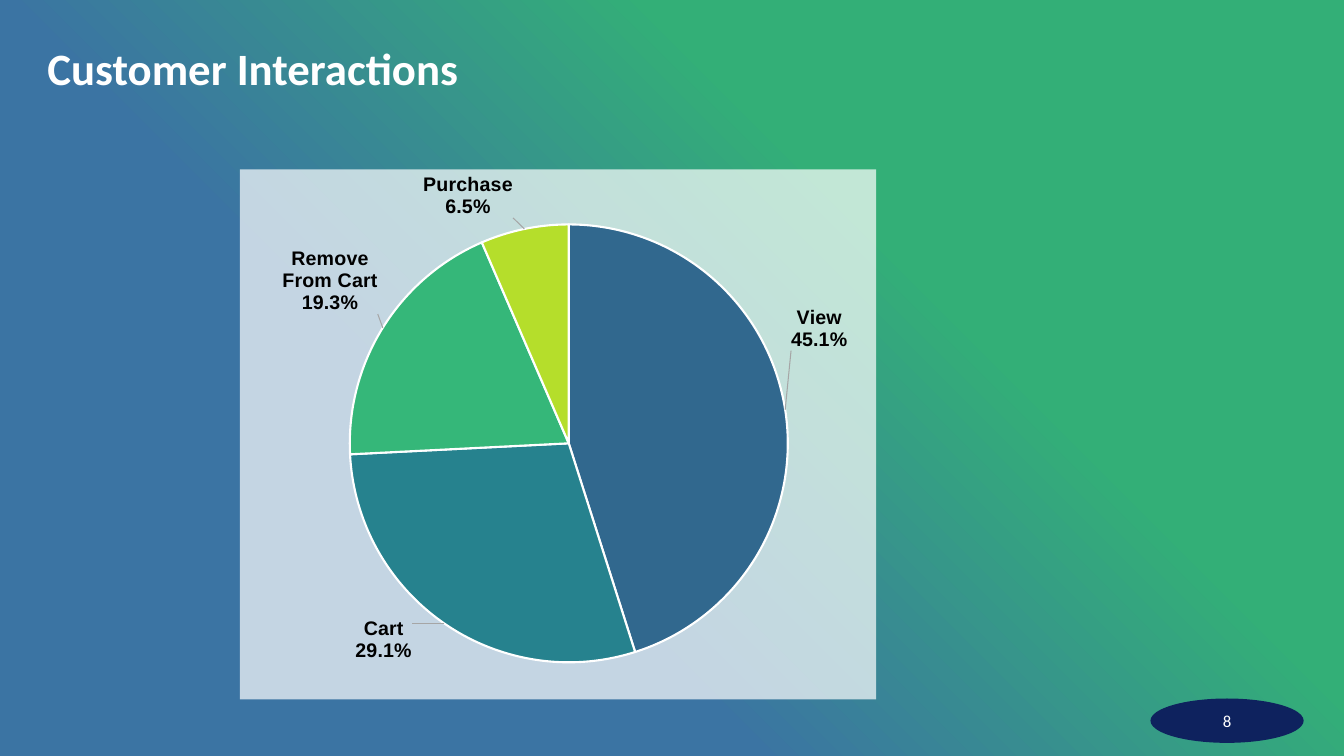
from dataclasses import dataclass

from pptx import Presentation, util as u
from pptx.chart.data import CategoryChartData
from pptx.dml.color import RGBColor
from pptx.enum import chart as ch, shapes, text
from pptx.oxml import parse_xml
from pptx.oxml.ns import nsdecls, qn

WIDTH, HEIGHT = 13.33, 7.5


@dataclass(frozen=True)
class Theme:
    green: str = "33AF77"
    blue: str = "3B74A3"
    navy: str = "0E225E"
    white: str = "FFFFFF"
    black: str = "000000"
    leader: str = "A6A6A6"
    body_font: str = "Calibri"
    chart_font: str = "Arial"
    title_size: int = 32
    label_size: int = 14
    number_size: int = 12


@dataclass(frozen=True)
class Box:
    """A rectangle in shares of the slide's width and height."""
    left: float
    top: float
    width: float
    height: float

    def emu(self) -> tuple:
        return (u.Inches(self.left * WIDTH), u.Inches(self.top * HEIGHT),
                u.Inches(self.width * WIDTH), u.Inches(self.height * HEIGHT))


@dataclass(frozen=True)
class Slice:
    """A pie slice; dx and dy move its label, in shares of the chart."""
    name: str
    percent: float
    color: str
    dx: float
    dy: float


THEME = Theme()
TITLE_BOX = Box(0.0353, 0.0627, 0.9295, 0.0627)
CHART_BOX = Box(0.1785, 0.224, 0.4734, 0.7013)
NUMBER_BOX = Box(0.856, 0.924, 0.114, 0.0587)
PLOT_BOX = Box(0.16, 0.104, 0.714, 0.826)
SLICES = [
    Slice("View", 45.1, "31688E", 0, -0.11),
    Slice("Cart", 29.1, "26828E", -0.045, -0.02),
    Slice("Remove From Cart", 19.3, "35B779", 0, -0.02),
    Slice("Purchase", 6.5, "B5DE2B", -0.016, -0.01),
]


def rgb(color: str) -> RGBColor:
    return RGBColor.from_string(color)


def set_font(font, name: str, size: int, color: str, bold: bool) -> None:
    font.name, font.size, font.bold = name, u.Pt(size), bold
    font.color.rgb = rgb(color)


def paint_background(s) -> None:
    """Fade from green at the top right to blue at the bottom left."""
    s.background.fill.solid()
    stops = "".join(
        f'<a:gs pos="{share * 1000}"><a:srgbClr val="{color}"/></a:gs>'
        for share, color in ((0, THEME.green), (33, THEME.green),
                             (64, THEME.blue), (100, THEME.blue)))
    gradient = parse_xml(
        f'<a:gradFill {nsdecls("a")} rotWithShape="1"><a:gsLst>{stops}</a:gsLst>'
        '<a:path path="circle"><a:fillToRect l="100000" b="100000"/></a:path>'
        '<a:tileRect t="-100000" r="-100000"/></a:gradFill>')
    bg = s.element.find(".//" + qn("p:bgPr"))
    bg.replace(bg.find(qn("a:solidFill")), gradient)


def add_title(s, title: str) -> None:
    tf = s.shapes.add_textbox(*TITLE_BOX.emu()).text_frame
    tf.word_wrap = True
    tf.vertical_anchor = text.MSO_ANCHOR.MIDDLE
    tf.margin_left = tf.margin_right = tf.margin_top = tf.margin_bottom = 0
    p = tf.paragraphs[0]
    p.text, p.line_spacing = title, 0.9
    set_font(p.font, THEME.body_font, THEME.title_size, THEME.white, True)


def add_page_number(s, number: str) -> None:
    sp = s.shapes.add_shape(shapes.MSO_SHAPE.OVAL, *NUMBER_BOX.emu())
    sp.shadow.inherit = False
    sp.fill.solid()
    sp.fill.fore_color.rgb = rgb(THEME.navy)
    sp.line.fill.background()
    sp.text_frame.vertical_anchor = text.MSO_ANCHOR.MIDDLE
    p = sp.text_frame.paragraphs[0]
    p.text, p.alignment = number, text.PP_ALIGN.CENTER
    set_font(p.font, THEME.body_font, THEME.number_size, THEME.white, False)


def manual_layout(**values: float) -> str:
    items = "".join(f'<c:{key} val="{value}"/>' for key, value in values.items())
    return f"<c:layout><c:manualLayout>{items}</c:manualLayout></c:layout>"


def labels_xml():
    """Category and percentage outside each slice, with leader lines."""
    shown = ('<c:dLblPos val="outEnd"/><c:showLegendKey val="0"/>'
             '<c:showVal val="0"/><c:showCatName val="1"/>'
             '<c:showSerName val="0"/><c:showPercent val="1"/>'
             '<c:showBubbleSize val="0"/><c:separator>\n</c:separator>')
    style = (
        '<c:numFmt formatCode="0.0%" sourceLinked="0"/>'
        '<c:spPr><a:noFill/><a:ln><a:noFill/></a:ln></c:spPr>'
        f'<c:txPr><a:bodyPr/><a:p><a:pPr><a:defRPr sz="{THEME.label_size * 100}" b="1">'
        f'<a:solidFill><a:srgbClr val="{THEME.black}"/></a:solidFill>'
        f'<a:latin typeface="{THEME.chart_font}"/></a:defRPr></a:pPr>'
        '<a:endParaRPr lang="en-US"/></a:p></c:txPr>')
    points = "".join(
        f'<c:dLbl><c:idx val="{i}"/>{manual_layout(x=item.dx, y=item.dy)}'
        f'{style}{shown}</c:dLbl>' for i, item in enumerate(SLICES))
    return parse_xml(
        f'<c:dLbls {nsdecls("c", "a")}>{points}{style}{shown}'
        '<c:showLeaderLines val="1"/><c:leaderLines><c:spPr><a:ln w="9525">'
        f'<a:solidFill><a:srgbClr val="{THEME.leader}"/></a:solidFill>'
        '</a:ln></c:spPr></c:leaderLines></c:dLbls>')


def add_interactions_pie(s) -> None:
    data = CategoryChartData()
    data.categories = [item.name for item in SLICES]
    data.add_series("Series 1", [item.percent for item in SLICES])
    chart = s.shapes.add_chart(ch.XL_CHART_TYPE.PIE, *CHART_BOX.emu(), data).chart
    chart.has_title = chart.has_legend = False
    set_font(chart.font, THEME.chart_font, THEME.label_size, THEME.black, True)
    plot = chart.plots[0]
    plot.vary_by_categories = True
    series = plot.series[0]
    for i, item in enumerate(SLICES):
        fmt = series.points[i].format
        fmt.fill.solid()
        fmt.fill.fore_color.rgb = rgb(item.color)
        fmt.line.color.rgb = rgb(THEME.white)
        fmt.line.width = u.Pt(1.5)
    series._element.find(qn("c:cat")).addprevious(labels_xml())

    area = chart._chartSpace.find(qn("c:chart"))
    area.addnext(parse_xml(
        f'<c:spPr {nsdecls("c", "a")}><a:solidFill><a:srgbClr val="{THEME.white}">'
        '<a:alpha val="70000"/></a:srgbClr></a:solidFill>'
        '<a:ln><a:noFill/></a:ln></c:spPr>'))
    plot_area = area.find(qn("c:plotArea"))
    for old in plot_area.findall(qn("c:layout")):
        plot_area.remove(old)
    layout = manual_layout(layoutTarget="inner", xMode="edge", yMode="edge",
                           x=PLOT_BOX.left, y=PLOT_BOX.top,
                           w=PLOT_BOX.width, h=PLOT_BOX.height)
    plot_area.insert(0, parse_xml(
        layout.replace("<c:layout>", f'<c:layout {nsdecls("c")}>', 1)))


def main() -> None:
    prs = Presentation()
    prs.slide_width, prs.slide_height = u.Inches(WIDTH), u.Inches(HEIGHT)
    s = prs.slides.add_slide(prs.slide_layouts[6])
    paint_background(s)
    add_title(s, "Customer Interactions")
    add_page_number(s, "8")
    add_interactions_pie(s)
    prs.save("out.pptx")


if __name__ == "__main__":
    main()
